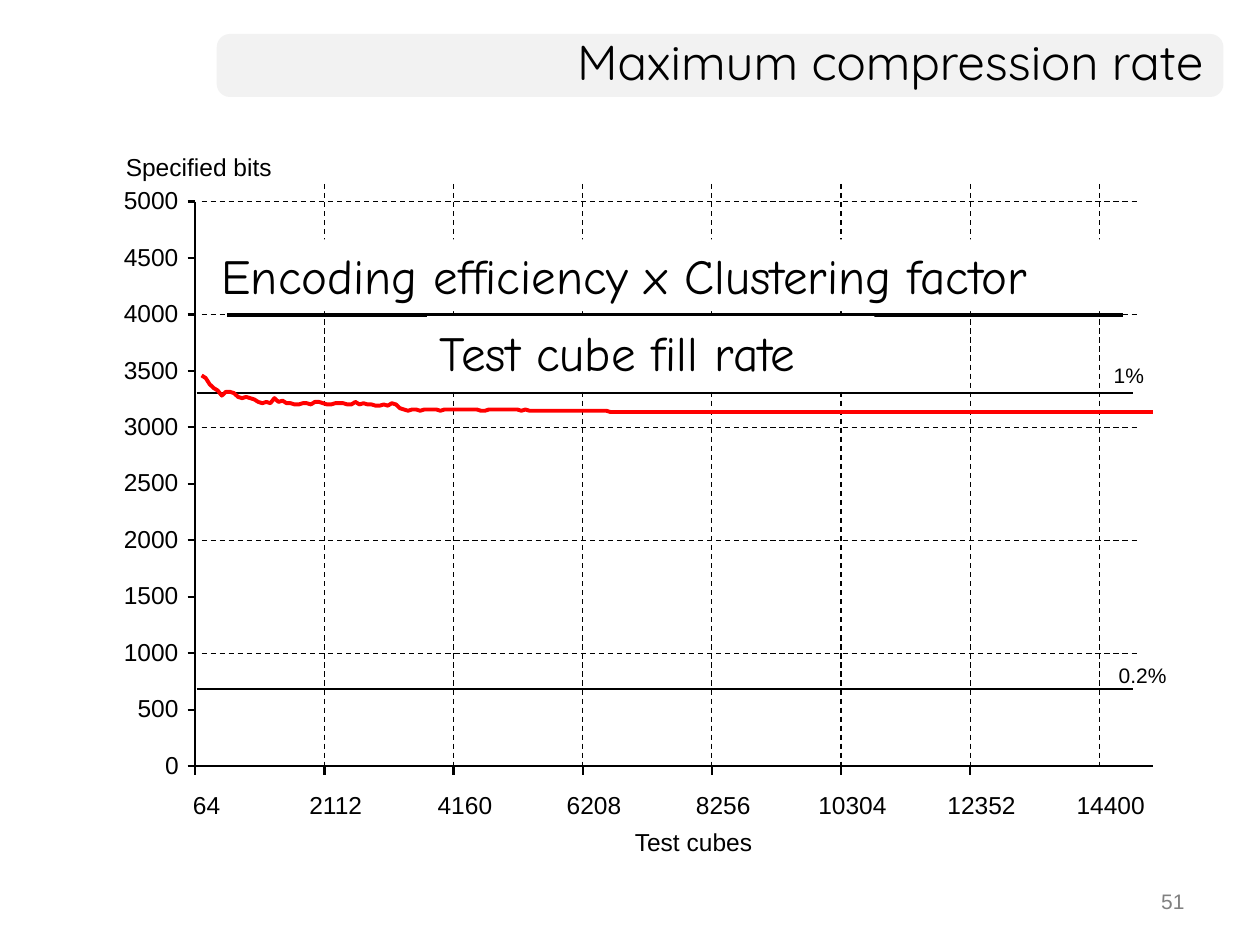
from typing import NamedTuple

from lxml import etree
from pptx import Presentation
from pptx import util as u
from pptx.dml.color import RGBColor
from pptx.enum import dml, shapes, text
from pptx.oxml.ns import qn

BLACK = RGBColor(0x00, 0x00, 0x00)
WHITE = RGBColor(0xFF, 0xFF, 0xFF)
RED = RGBColor(0xFF, 0x00, 0x00)
GREY = RGBColor(0x80, 0x80, 0x80)
PALE = RGBColor(0xF2, 0xF2, 0xF2)

AXIS_LEFT, AXIS_RIGHT = 1.55, 9.15
AXIS_TOP, AXIS_BOTTOM = 1.6, 6.08
X_STEP = 1.025
Y_STEP = (AXIS_BOTTOM - AXIS_TOP) / 10
DIGIT_WIDTH, LABEL_HEIGHT = 0.11, 0.24

# Height of the curve at equally spaced test cubes
CURVE_LEFT = 1.6
CURVE_HEIGHTS = [
    2.98, 3.00, 3.05, 3.08, 3.10, 3.14, 3.11, 3.11, 3.12, 3.15,
    3.16, 3.15, 3.16, 3.17, 3.19, 3.20, 3.19, 3.20, 3.16, 3.19,
    3.18, 3.20, 3.20, 3.21, 3.21, 3.20, 3.20, 3.21, 3.19, 3.19,
    3.20, 3.21, 3.21, 3.20, 3.20, 3.20, 3.21, 3.21, 3.19, 3.21,
    3.20, 3.21, 3.21, 3.22, 3.22, 3.21, 3.22, 3.20, 3.21, 3.24,
    3.25, 3.26, 3.25, 3.25, 3.26, 3.25, 3.25, 3.25, 3.25, 3.26,
    *[3.25] * 9, *[3.26] * 2, *[3.25] * 8, 3.26, 3.25,
    *[3.26] * 20, *[3.27] * 135,
]


class Box(NamedTuple):
    left: float
    top: float
    width: float
    height: float

    def emu(self) -> list:
        return [u.Inches(side) for side in self]


class Caption(NamedTuple):
    words: str
    box: Box
    size: int
    anchor: text.MSO_ANCHOR = text.MSO_ANCHOR.TOP
    wrap: bool = True
    color: RGBColor = BLACK
    align: text.PP_ALIGN = text.PP_ALIGN.LEFT


CAPTIONS = [
    Caption("51", Box(7.17, 7, 2.33, 0.35), 12, color=GREY, align=text.PP_ALIGN.RIGHT),
    Caption("1%", Box(8.74, 2.83, 0.68, 0.36), 12),
    Caption("0.2%", Box(8.78, 5.21, 0.81, 0.36), 12),
    Caption("Test cubes", Box(4.94, 6.51, 1.14, 0.34), 14, text.MSO_ANCHOR.MIDDLE, False),
    Caption("Specified bits", Box(0.9, 1.15, 1.37, 0.34), 14, text.MSO_ANCHOR.MIDDLE, False),
]
FRACTION_TERMS = [
    Caption("Encoding efficiency x Clustering factor", Box(1.66, 1.9, 7.35, 0.57), 28),
    Caption("Test cube fill rate", Box(3.39, 2.51, 3.55, 0.57), 28),
]


def write(frame, words: str, *, size: float, font: str = "Arial", color: RGBColor = BLACK,
          align=text.PP_ALIGN.LEFT, anchor=text.MSO_ANCHOR.TOP, wrap: bool = True,
          inset: bool = True, spacing: float | None = None) -> None:
    frame.word_wrap = wrap
    frame.auto_size = text.MSO_AUTO_SIZE.NONE if wrap else text.MSO_AUTO_SIZE.SHAPE_TO_FIT_TEXT
    frame.vertical_anchor = anchor
    if not inset:
        frame.margin_left = frame.margin_right = frame.margin_top = frame.margin_bottom = 0
    paragraph = frame.paragraphs[0]
    paragraph.alignment = align
    paragraph.line_spacing = spacing
    run = paragraph.add_run()
    run.text = words
    run.font.size = u.Pt(size)
    run.font.name = font
    run.font.color.rgb = color


def draw_line(slide, x1: float, y1: float, x2: float, y2: float,
              width: float = 1.25, dashed: bool = False) -> None:
    line = slide.shapes.add_connector(
        shapes.MSO_CONNECTOR.STRAIGHT, *[u.Inches(v) for v in (x1, y1, x2, y2)])
    line.line.color.rgb = BLACK
    line.line.width = u.Pt(width)
    if dashed:
        line.line.dash_style = dml.MSO_LINE.DASH
    etree.SubElement(line._element.spPr, qn("a:effectLst"))


def draw_panel(slide, kind, box: Box, fill: RGBColor):
    panel = slide.shapes.add_shape(kind, *box.emu())
    panel.shadow.inherit = False
    panel.fill.solid()
    panel.fill.fore_color.rgb = fill
    panel.line.fill.background()
    return panel


def draw_tick_label(slide, value: int, left: float, top: float) -> None:
    box = Box(left, top, DIGIT_WIDTH * len(str(value)), LABEL_HEIGHT)
    write(slide.shapes.add_textbox(*box.emu()).text_frame, str(value), size=14,
          align=text.PP_ALIGN.CENTER, wrap=False, inset=False)


def draw_header(slide) -> None:
    band = draw_panel(slide, shapes.MSO_SHAPE.ROUNDED_RECTANGLE,
                      Box(1.72, 0.27, 7.99, 0.5), PALE)
    band.adjustments[0] = 0.21
    slide.shapes._spTree.insert(2, band._element)  # behind the title
    title = slide.shapes.title
    title.left, title.top, title.width, title.height = Box(1.72, 0.27, 7.93, 0.5).emu()
    write(title.text_frame, "Maximum compression rate", size=28, font="Quicksand",
          align=text.PP_ALIGN.RIGHT, anchor=text.MSO_ANCHOR.MIDDLE, spacing=0.85)


def draw_axes(slide) -> None:
    draw_line(slide, AXIS_LEFT, AXIS_TOP, AXIS_LEFT, AXIS_BOTTOM)
    draw_line(slide, AXIS_LEFT, AXIS_BOTTOM, AXIS_RIGHT, AXIS_BOTTOM)
    for i in range(11):
        y = AXIS_BOTTOM - i * Y_STEP
        bits = 500 * i
        draw_line(slide, AXIS_LEFT - 0.06, y, AXIS_LEFT, y)
        draw_tick_label(slide, bits, 1.42 - DIGIT_WIDTH * len(str(bits)), y - 0.13)
    for i in range(8):
        x = AXIS_LEFT + i * X_STEP
        cubes = 64 + 2048 * i
        if i < 7:
            draw_line(slide, x, AXIS_BOTTOM + 0.07, x, AXIS_BOTTOM)
        draw_tick_label(slide, cubes, x + 0.09 - DIGIT_WIDTH * len(str(cubes)) / 2, 6.27)


def draw_grid(slide) -> None:
    for i in range(2, 11, 2):
        y = AXIS_BOTTOM - i * Y_STEP
        draw_line(slide, 1.6, y, 9.03, y, 0.75, dashed=True)
    for i in range(1, 8):
        x = AXIS_LEFT + i * X_STEP
        draw_line(slide, x, 1.46, x, 6.1, 0.75, dashed=True)
    for fill_rate_y in (5.47, 3.12):
        draw_line(slide, 1.56, fill_rate_y, 8.99, fill_rate_y, 1.5)


def draw_curve(slide) -> None:
    step = (AXIS_RIGHT - CURVE_LEFT) / (len(CURVE_HEIGHTS) - 1)
    points = [(u.Inches(CURVE_LEFT + i * step), u.Inches(y))
              for i, y in enumerate(CURVE_HEIGHTS)]
    builder = slide.shapes.build_freeform(*points[0])
    builder.add_line_segments(points[1:], close=False)
    curve = builder.convert_to_shape()
    curve.shadow.inherit = False
    curve.fill.background()
    curve.line.color.rgb = RED
    curve.line.width = u.Pt(2.25)


def draw_fraction(slide) -> None:
    draw_line(slide, 1.8, 2.5, 8.91, 2.5, 2.25)
    for term in FRACTION_TERMS:
        panel = draw_panel(slide, shapes.MSO_SHAPE.RECTANGLE, term.box, WHITE)
        write(panel.text_frame, term.words, size=term.size, font="Comic Neue",
              anchor=text.MSO_ANCHOR.MIDDLE)


def main() -> None:
    deck = Presentation()
    deck.slide_width, deck.slide_height = u.Inches(10), u.Inches(7.5)
    slide = deck.slides.add_slide(deck.slide_layouts[5])
    draw_header(slide)
    for caption in CAPTIONS:
        write(slide.shapes.add_textbox(*caption.box.emu()).text_frame, caption.words,
              size=caption.size, anchor=caption.anchor, wrap=caption.wrap,
              color=caption.color, align=caption.align)
    draw_axes(slide)
    draw_grid(slide)
    draw_curve(slide)
    draw_fraction(slide)
    deck.save("out.pptx")


if __name__ == "__main__":
    main()
